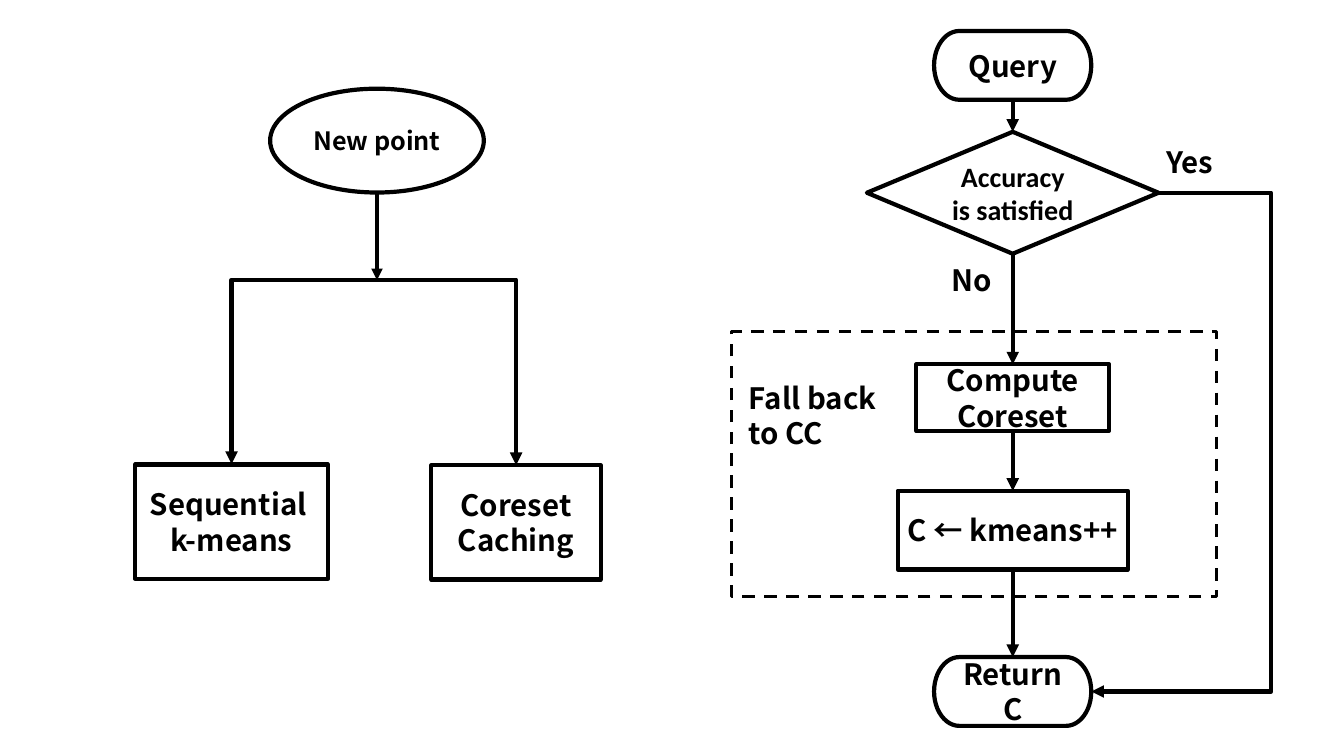
"""Draw the flowcharts for inserting a point and for answering a query."""
from typing import NamedTuple

from lxml import etree
from pptx import Presentation
from pptx.dml.color import RGBColor
from pptx.enum.dml import MSO_LINE
from pptx.enum.shapes import MSO_CONNECTOR, MSO_SHAPE
from pptx.enum.text import MSO_ANCHOR, PP_ALIGN
from pptx.oxml.ns import qn
from pptx.util import Inches, Mm, Pt

PROCESS = MSO_SHAPE.FLOWCHART_PROCESS
TERMINATOR = MSO_SHAPE.FLOWCHART_TERMINATOR
DECISION = MSO_SHAPE.FLOWCHART_DECISION
OVAL, RECT = MSO_SHAPE.OVAL, MSO_SHAPE.RECTANGLE
STRAIGHT, ELBOW = MSO_CONNECTOR.STRAIGHT, MSO_CONNECTOR.ELBOW
DASH, MIDDLE = MSO_LINE.DASH, MSO_ANCHOR.MIDDLE
CENTER, LEFT = PP_ALIGN.CENTER, PP_ALIGN.LEFT

COLORS = {"ink": "000000"}
FONT, DECISION_FONT = "Noto Sans CJK SC", "Calibri"
WIDTH, HEIGHT = Inches(13.33), Inches(7.5)
COLS = ROWS = 100
QUERY_COL = 75.35
BUS_ROW, RETURN_COL = 37.07, 94.58
TOP, BOTTOM = 0, 2


class Node(NamedTuple):
    """Outlined shape given by its centre, size and side margin in grid cells."""
    kind: int
    col: float
    row: float
    cols: float
    rows: float
    text: str = ""
    size: float = 21
    font: str = FONT
    margin: float = 0.75


class Label(NamedTuple):
    """Free text given by its top left corner and size in grid cells."""
    text: str
    col: float
    row: float
    cols: float
    rows: float


NODES = {
    "query": Node(TERMINATOR, QUERY_COL, 8.65, 11.7, 9.1, "Query"),
    "accuracy": Node(DECISION, QUERY_COL, 25.5, 21.7, 16.13,
                     "Accuracy is satisfied", 20, DECISION_FONT),
    "compute": Node(PROCESS, QUERY_COL, 52.6, 14.33, 8.8, "Compute Coreset"),
    "kmeans": Node(PROCESS, QUERY_COL, 70.13, 17.12, 10.4, "C ← kmeans++", margin=0.3),
    "return": Node(TERMINATOR, QUERY_COL, 91.47, 11.7, 9.1, "Return C"),
    "new point": Node(OVAL, 28.05, 18.6, 15.9, 13.73, "New point", 18),
    "sequential": Node(PROCESS, 17.23, 69, 14.33, 15.1, "Sequential \nk-means"),
    "caching": Node(PROCESS, 38.4, 69.1, 12.6, 15.1, "Coreset Caching"),
}
FALLBACK = Node(RECT, 72.49, 61.4, 36.08, 35.07)
QUERY_FLOW = ("query", "accuracy", "compute", "kmeans", "return")
LABELS = (
    Label("Yes", 86.03, 18.4, 6.83, 6),
    Label("No", 70.05, 34, 4.8, 6),
    Label("Fall back to CC", 54.98, 49.6, 11.25, 10.8),
)


def gx(col: float) -> int:
    """Convert grid columns to a length."""
    return round(WIDTH * col / COLS)


def gy(row: float) -> int:
    """Convert grid rows to a length."""
    return round(HEIGHT * row / ROWS)


def ink() -> RGBColor:
    """Return the one drawing colour."""
    return RGBColor.from_string(COLORS["ink"])


def write(s, text: str, size: float, font: str, align: int) -> None:
    """Fill a shape with bold wrapped text."""
    tf = s.text_frame
    tf.word_wrap = True
    tf.text = text
    for p in tf.paragraphs:
        p.alignment = align
        p.font.size, p.font.bold, p.font.name = Pt(size), True, font
        p.font.color.rgb = ink()


def draw_node(shapes, node: Node, weight: float = 3):
    """Draw an unfilled shape with centred text."""
    s = shapes.add_shape(node.kind, gx(node.col - node.cols / 2),
                         gy(node.row - node.rows / 2), gx(node.cols), gy(node.rows))
    s.shadow.inherit = False
    s.fill.background()
    s.line.color.rgb, s.line.width = ink(), Pt(weight)
    if node.text:
        write(s, node.text, node.size, node.font, CENTER)
        tf = s.text_frame
        tf.vertical_anchor = MIDDLE
        tf.margin_left = tf.margin_right = gx(node.margin)
    return s


def draw_label(shapes, label: Label) -> None:
    """Draw text without an outline."""
    s = shapes.add_textbox(gx(label.col), gy(label.row), gx(label.cols), gy(label.rows))
    write(s, label.text, 21, FONT, LEFT)


def draw_arrow(shapes, kind: int, start: tuple[int, int], end: tuple[int, int],
               weight: float = 3, ends: tuple[str, ...] = ("tailEnd",)):
    """Draw a connector with triangular arrowheads."""
    s = shapes.add_connector(kind, *start, *end)
    s.line.color.rgb, s.line.width = ink(), Pt(weight)
    for tag in ends:
        etree.SubElement(s.line._get_or_add_ln(), qn(f"a:{tag}"), type="triangle")
    etree.SubElement(s._element.spPr, qn("a:effectLst"))
    return s


def bend(s, share: float) -> None:
    """Place the middle leg of an elbow at a share of its width."""
    guides = s._element.spPr.find(qn("a:prstGeom")).find(qn("a:avLst"))
    etree.SubElement(guides, qn("a:gd"), name="adj1", fmla=f"val {round(share * 100000)}")


def draw_branch(shapes, left: Node, right: Node) -> None:
    """Draw the bus that drops onto two boxes."""
    thin = Mm(0.3)
    x, span = gx((left.col + right.col) / 2), gx(right.col - left.col)
    y = gy(left.row - left.rows / 2)
    s = draw_arrow(shapes, ELBOW, (x + thin // 2, y - span // 2),
                   (x - thin // 2, y + span // 2), ends=("headEnd", "tailEnd"))
    s._element.spPr.find(qn("a:xfrm")).set("rot", str(270 * 60000))
    bend(s, (gy(BUS_ROW) - y) / thin)


def draw_yes(shapes, test: Node, result: Node) -> None:
    """Draw the detour from the decision straight to the result."""
    start, end = test.col + test.cols / 2, result.col + result.cols / 2
    s = draw_arrow(shapes, ELBOW, (gx(start), gy(test.row)), (gx(end), gy(result.row)))
    bend(s, (start - RETURN_COL) / (start - end))


def main() -> None:
    """Build and save the slide."""
    prs = Presentation()
    prs.slide_width, prs.slide_height = WIDTH, HEIGHT
    shapes = prs.slides.add_slide(prs.slide_layouts[6]).shapes
    draw_node(shapes, FALLBACK, 2.25).line.dash_style = DASH
    drawn = {name: draw_node(shapes, node) for name, node in NODES.items()}
    for above, below in zip(QUERY_FLOW, QUERY_FLOW[1:]):
        s = draw_arrow(shapes, STRAIGHT, (0, 0), (0, 0))
        s.begin_connect(drawn[above], BOTTOM)
        s.end_connect(drawn[below], TOP)
    point = NODES["new point"]
    draw_arrow(shapes, STRAIGHT, (gx(point.col), gy(point.row + point.rows / 2)),
               (gx(point.col), gy(BUS_ROW)), 2.75)
    draw_branch(shapes, NODES["sequential"], NODES["caching"])
    draw_yes(shapes, NODES["accuracy"], NODES["return"])
    for label in LABELS:
        draw_label(shapes, label)
    prs.save("out.pptx")


main()
